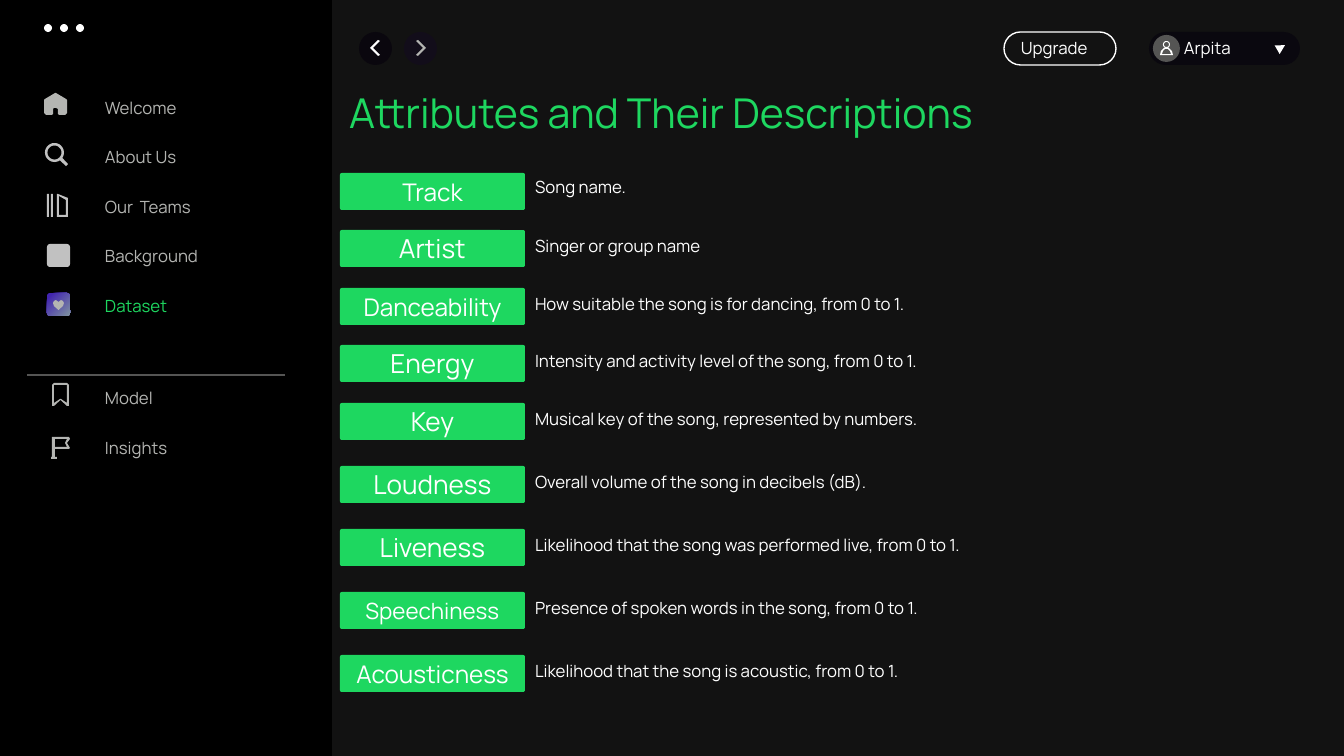
import math

from lxml import etree
from pptx import Presentation
from pptx.dml.color import RGBColor
from pptx.enum import shapes, text
from pptx.oxml import ns
from pptx.util import Pt

PX = 9144000 / 1344  # EMU in one px
FONT = "Manrope"
COLOURS = {
    "page": "121212", "sidebar": "000000", "green": "1ED760", "white": "FFFFFF",
    "label": "B4B5B2", "icon": "C1C1C1", "grey": "555554", "pill": "0A080F",
    "back": "0A070E", "forward": "120D1A", "violet": "4224B0", "steel": "7F93A0",
}


def colour(name):
    return RGBColor.from_string(COLOURS[name])


def px(*lengths):
    return [round(length * PX) for length in lengths]


def arc(x, y, radius, start=0, end=360, steps=32):
    angles = [math.radians(start + (end - start) * i / steps) for i in range(steps + 1)]
    return [(x + radius * math.cos(a), y + radius * math.sin(a)) for a in angles]


# Icon contours in px; inner contours cut holes
BACK = [[(8, 16), (0, 8), (8, 0), (10, 1), (3, 8), (10, 15)]]
FORWARD = [[(10 - x, y) for x, y in BACK[0]]]
HOME = [[(11, 0), (12, 0), (22, 6), (23, 7), (23, 20), (21, 22), (15, 22), (14, 21),
         (14, 16), (12, 15), (10, 15), (9, 16), (9, 21), (8, 22), (2, 22), (0, 20),
         (0, 7), (1, 6)]]
SEARCH = [arc(9.5, 9.5, 9.5, 55, 395) + [(23, 21), (21, 23)], arc(9.5, 9.5, 7)]
BOOKS = [[(0, 0), (2, 0), (2, 23), (0, 23)],
         [(4, 0), (6, 0), (6, 23), (4, 23)],
         [(10, 0), (11, 0), (21, 4), (21, 23), (10, 23)],
         [(12, 2), (19, 6), (19, 21), (12, 21)]]
HEART = [[(5.5, 2), (8, 0), (10, 1), (11, 3), (10, 6), (5.5, 10), (1, 6), (0, 3),
          (1, 1), (3, 0)]]
BOOKMARK = [[(2, 0), (15, 0), (17, 2), (17, 23), (15, 23), (8.5, 17), (2, 23), (0, 23),
             (0, 2)],
            [(2, 2), (15, 2), (15, 20), (9, 16), (8, 16), (2, 20)]]
FLAG = [[(1, 0), (18, 0), (19, 2), (16, 6), (19, 11), (18, 12), (4, 12), (4, 20),
         (6, 20), (6, 22), (0, 22), (0, 20), (1, 20)],
        [(4, 2), (16, 2), (14, 6), (16, 10), (4, 10)]]
PERSON = [arc(6.5, 3.5, 3.5), arc(6.5, 3.5, 2.5),
          [(0, 14), (1, 10), (4, 7), (9, 7), (12, 10), (13, 14)],
          [(2, 13), (3, 10), (5, 8), (8, 8), (10, 10), (11, 13)]]


def add_icon(page, left, top, contours, fill):
    tenths = [[(x * 10, y * 10) for x, y in contour] for contour in contours]
    builder = page.shapes.build_freeform(*tenths[0][0], scale=PX / 10)
    for index, contour in enumerate(tenths):
        if index:
            builder.move_to(*contour[0])
        builder.add_line_segments(contour[1:], close=True)
    icon = builder.convert_to_shape(*px(left, top))
    icon.shadow.inherit = False
    icon.fill.solid()
    icon.fill.fore_color.rgb = colour(fill)
    icon.line.fill.background()


def add_preset(page, kind, box, fill=None, radius=None):
    shape = page.shapes.add_shape(kind, *px(*box))
    shape.shadow.inherit = False
    shape.line.fill.background()
    if fill:
        shape.fill.solid()
        shape.fill.fore_color.rgb = colour(fill)
    else:
        shape.fill.background()
    if radius is not None:
        shape.adjustments[0] = radius
    return shape


def write(shape, words, size, ink="white", align=text.PP_ALIGN.LEFT,
          anchor=text.MSO_ANCHOR.TOP):
    frame = shape.text_frame
    frame.word_wrap = True
    frame.auto_size = text.MSO_AUTO_SIZE.NONE
    frame.vertical_anchor = anchor
    frame.margin_left, frame.margin_right = px(9, 9)
    frame.margin_top, frame.margin_bottom = px(5, 5)
    para = frame.paragraphs[0]
    para.text = words
    para.alignment = align
    para.font.name, para.font.size = FONT, Pt(size)
    para.font.color.rgb = colour(ink)


def add_label(page, left, top, width, words, ink="white"):
    write(page.shapes.add_textbox(*px(left, top, width, 31)), words, 9, ink)


def add_sidebar(page, left, top, width, height):
    add_preset(page, shapes.MSO_SHAPE.RECTANGLE, (left, top, width, height), "sidebar")
    # Window dots
    for i in range(3):
        add_preset(page, shapes.MSO_SHAPE.OVAL, (left + 44 + 16 * i, top + 24, 8, 8), "white")
    # Menu labels
    for i, words in enumerate(["Welcome", "About Us", "Our  Teams", "Background", "Dataset"]):
        add_label(page, left + 96, top + 93 + 99 * i // 2, 126, words,
                  "green" if words == "Dataset" else "label")
    for i, words in enumerate(["Model", "Insights"]):
        add_label(page, left + 96, top + 383 + 50 * i, 126, words, "label")
    # Menu icons
    tile = shapes.MSO_SHAPE.ROUNDED_RECTANGLE
    add_preset(page, tile, (left + 47, top + 244, 23, 23), "icon", 0.13)
    cover = add_preset(page, tile, (left + 47, top + 293, 23, 23), "violet", 0.13)
    cover.fill.gradient()
    cover.fill.gradient_angle = 315
    for stop, position, name in zip(cover.fill.gradient_stops, (0.11, 1), ("violet", "steel")):
        stop.position = position
        stop.color.rgb = colour(name)
    for x, y, contours, fill in [
        (44, 93, HOME, "label"), (45, 143, SEARCH, "icon"), (47, 194, BOOKS, "icon"),
        (53, 300, HEART, "label"), (52, 383, BOOKMARK, "label"), (51, 437, FLAG, "label"),
    ]:
        add_icon(page, left + x, top + y, contours, fill)
    # Divider
    rule = page.shapes.add_connector(shapes.MSO_CONNECTOR.STRAIGHT,
                                     *px(left + 27, top + 375, left + 285, top + 375))
    rule.line.color.rgb = colour("grey")
    rule.line.width = Pt(0.75)
    etree.SubElement(rule._element.spPr, ns.qn("a:effectLst"))


def add_top_bar(page, left, top):
    # Back and forward buttons
    for x, disc, contours, ink, inset in [(0, "back", BACK, "white", 11),
                                          (45, "forward", FORWARD, "label", 12)]:
        add_preset(page, shapes.MSO_SHAPE.OVAL, (left + x, top, 33, 33), disc)
        add_icon(page, left + x + inset, top + 8, contours, ink)
    # Upgrade button
    pill = shapes.MSO_SHAPE.ROUNDED_RECTANGLE
    upgrade = add_preset(page, pill, (left + 645, top, 112, 33), radius=0.5)
    upgrade.line.color.rgb = colour("white")
    upgrade.line.width = Pt(0.75)
    add_label(page, left + 653, top + 1, 96, "Upgrade")
    # Account menu
    add_preset(page, pill, (left + 790, top, 151, 33), "pill", 0.5)
    add_label(page, left + 816, top + 1, 101, "Arpita")
    add_preset(page, shapes.MSO_SHAPE.OVAL, (left + 794, top + 3, 27, 27), "grey")
    add_icon(page, left + 801, top + 9, PERSON, "white")
    arrow = add_preset(page, shapes.MSO_SHAPE.ISOSCELES_TRIANGLE,
                       (left + 917, top + 11, 10, 9), "white")
    arrow.rotation = 60


def add_title(page, left, top, width, height):
    title = page.shapes.title
    title.left, title.top, title.width, title.height = px(left, top, width, height)
    write(title, "Attributes and Their Descriptions", 22, "green")


def add_attributes(page, left, top):
    rows = [
        ("Track", 13, "Song name."),
        ("Artist", 14, "Singer or group name"),
        ("Danceability", 13, "How suitable the song is for dancing, from 0 to 1."),
        ("Energy", 14, "Intensity and activity level of the song, from 0 to 1."),
        ("Key", 14, "Musical key of the song, represented by numbers."),
        ("Loudness", 14, "Overall volume of the song in decibels (dB)."),
        ("Liveness", 14, "Likelihood that the song was performed live, from 0 to 1."),
        ("Speechiness", 12, "Presence of spoken words in the song, from 0 to 1."),
        ("Acousticness", 13, "Likelihood that the song is acoustic, from 0 to 1."),
    ]
    for i, (name, size, description) in enumerate(rows):
        # The pitch widens after the fifth row
        y = top + 115 * min(i, 4) // 2 + 63 * max(i - 4, 0)
        button = add_preset(page, shapes.MSO_SHAPE.ROUNDED_RECTANGLE,
                            (left, y, 185, 37), "green", 0.05)
        write(button, name, size, align=text.PP_ALIGN.CENTER, anchor=text.MSO_ANCHOR.MIDDLE)
        add_label(page, left + 186, y + (1 if i else -1), 760, description)


def main():
    deck = Presentation()
    deck.slide_width, deck.slide_height = px(1344, 756)
    page = deck.slides.add_slide(deck.slide_layouts[5])
    page.background.fill.solid()
    page.background.fill.fore_color.rgb = colour("page")
    add_sidebar(page, 0, 0, 332, 756)
    add_top_bar(page, 359, 32)
    add_title(page, 340, 82, 896, 60)
    add_attributes(page, 340, 173)
    deck.save("out.pptx")


if __name__ == "__main__":
    main()
